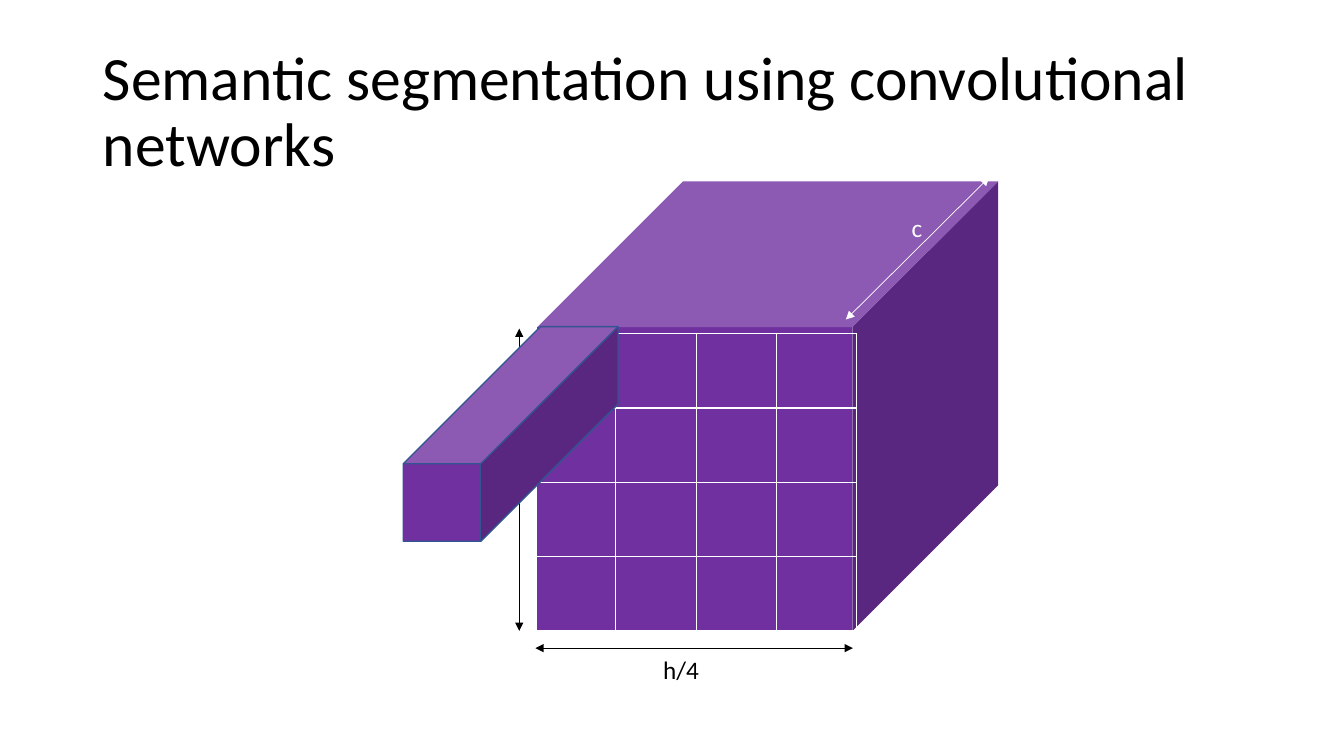
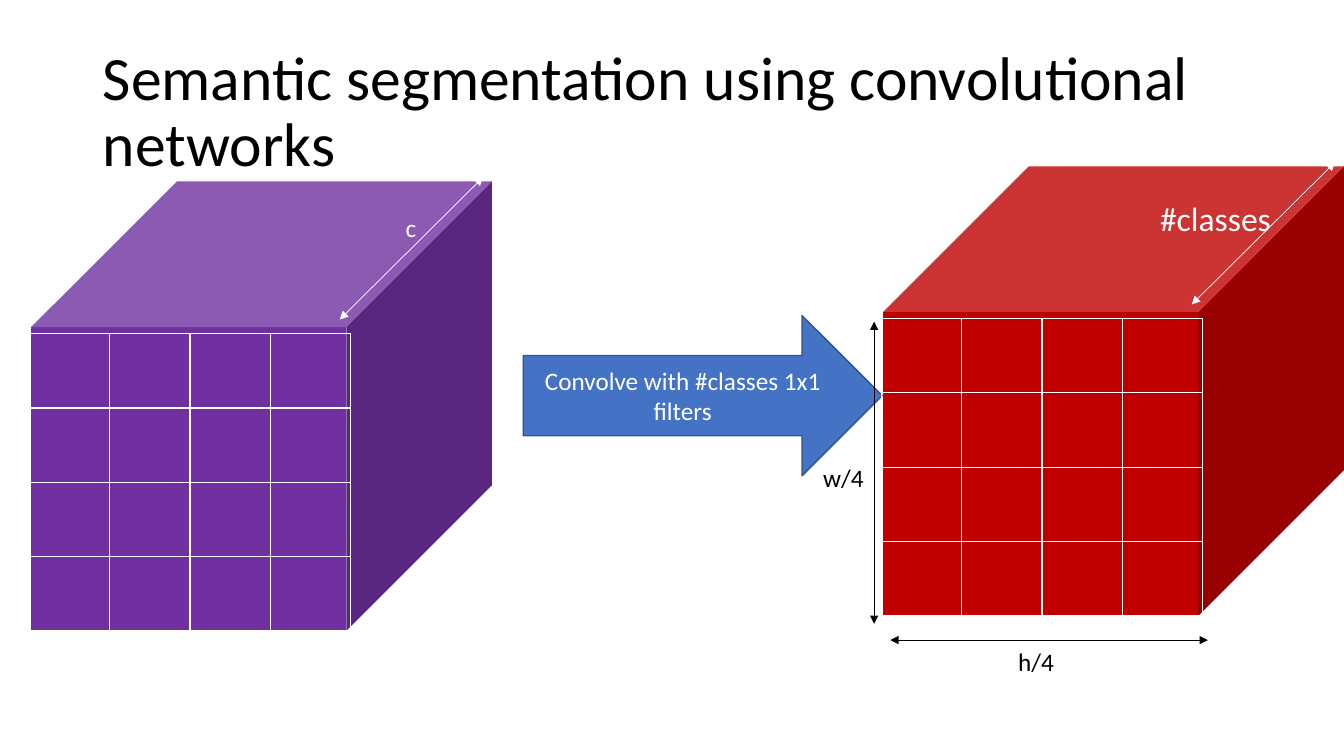
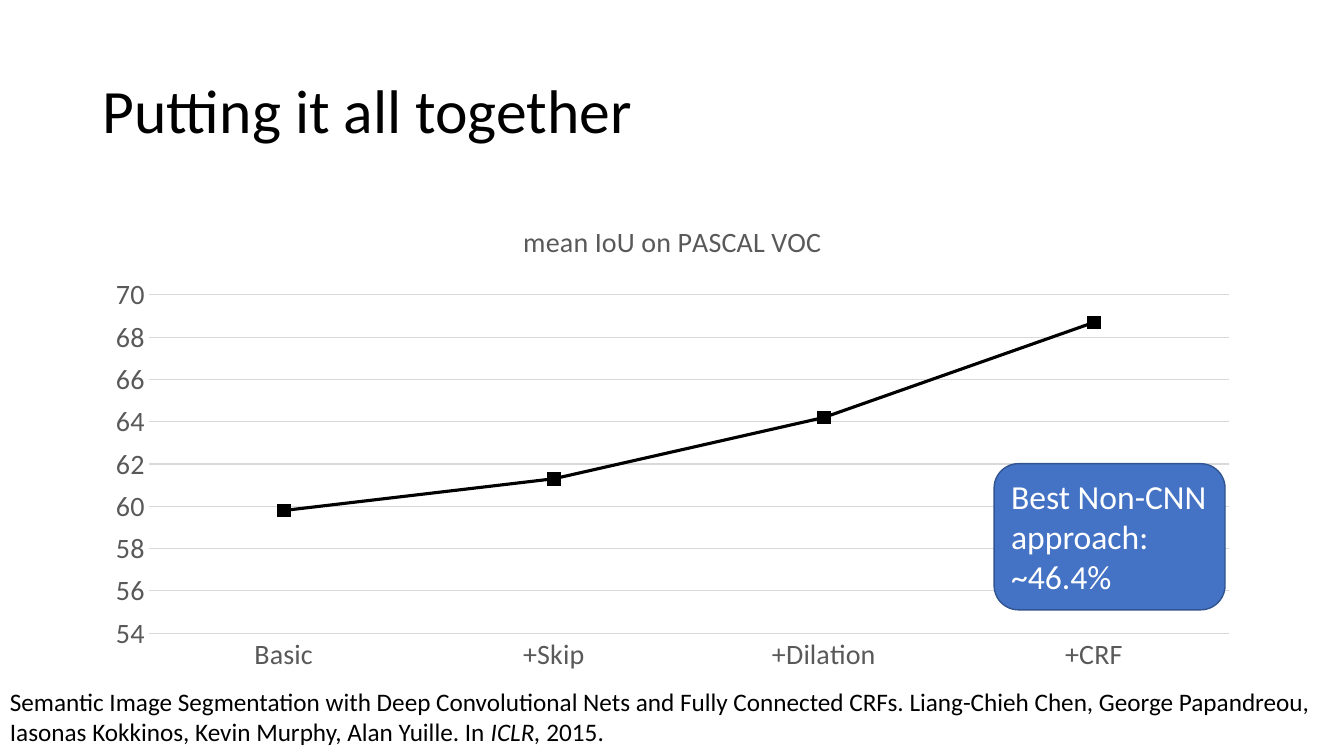
from lxml import etree
from pptx import Presentation
from pptx.chart.data import CategoryChartData
from pptx.dml.color import RGBColor
from pptx.enum.chart import XL_CHART_TYPE, XL_MARKER_STYLE, XL_TICK_MARK
from pptx.enum.shapes import MSO_CONNECTOR, MSO_SHAPE
from pptx.enum.text import MSO_ANCHOR, MSO_AUTO_SIZE, PP_ALIGN
from pptx.oxml import parse_xml
from pptx.oxml.ns import nsdecls, qn
from pptx.util import Emu, Pt

EMU_PER_PX = 9144
FONT = "Calibri"
COLORS = {
    "text": "000000",
    "white": "FFFFFF",
    "features": "7030A0",
    "scores": "C00000",
    "accent": "4472C4",
    "outline": "325491",
    "axis": "595959",
    "grid": "D9D9D9",
}
SEGMENTATION_TITLE = "Semantic segmentation using convolutional networks"
GRID_CELLS = 4

CUBE, ROUNDED, RIGHT_ARROW = MSO_SHAPE.CUBE, MSO_SHAPE.ROUNDED_RECTANGLE, MSO_SHAPE.RIGHT_ARROW
STRAIGHT = MSO_CONNECTOR.STRAIGHT
LEFT, CENTER = PP_ALIGN.LEFT, PP_ALIGN.CENTER
TOP, MIDDLE = MSO_ANCHOR.TOP, MSO_ANCHOR.MIDDLE
NO_AUTOFIT = MSO_AUTO_SIZE.NONE
LINE_MARKERS = XL_CHART_TYPE.LINE_MARKERS
SQUARE = XL_MARKER_STYLE.SQUARE
NO_TICK = XL_TICK_MARK.NONE


def px(*lengths):
    return [Emu(length * EMU_PER_PX) for length in lengths]


def rgb(color):
    return RGBColor.from_string(COLORS[color])


def set_font(font, size, color):
    font.name = FONT
    font.size = Pt(size)
    font.color.rgb = rgb(color)


def set_line(line, color, width):
    line.color.rgb = rgb(color)
    line.width = Pt(width)


def add_titled_slide(deck, layout, text):
    slide = deck.slides.add_slide(layout)
    title = slide.shapes.title
    title.text_frame.text = text
    title.text_frame.auto_size = NO_AUTOFIT
    title.text_frame.vertical_anchor = MIDDLE
    paragraph = title.text_frame.paragraphs[0]
    paragraph.alignment = LEFT
    paragraph.line_spacing = 0.9
    set_font(paragraph.font, 44, "text")
    return slide


def add_label(shapes, box, text, size=18, color="text"):
    frame = shapes.add_textbox(*px(*box)).text_frame
    frame.word_wrap = False
    frame.text = text
    paragraph = frame.paragraphs[0]
    paragraph.alignment = CENTER
    set_font(paragraph.font, size, color)


def add_double_arrow(shapes, start, end, color="text"):
    arrow = shapes.add_connector(STRAIGHT, *px(*start, *end))
    set_line(arrow.line, color, 0.5)
    properties = arrow._element.spPr
    line = properties.find(qn("a:ln"))
    for end_tag in ("a:headEnd", "a:tailEnd"):
        etree.SubElement(line, qn(end_tag), type="triangle")
    etree.SubElement(properties, qn("a:effectLst"))


def add_filled_shape(shapes, kind, box, fill, outlined=True):
    shape = shapes.add_shape(kind, *px(*box))
    shape.shadow.inherit = False
    shape.fill.solid()
    shape.fill.fore_color.rgb = rgb(fill)
    if outlined:
        set_line(shape.line, "outline", 1)
    else:
        shape.line.fill.background()
    return shape


def add_callout(shapes, kind, box, text, size, alignment, anchor):
    frame = add_filled_shape(shapes, kind, box, "accent").text_frame
    frame.word_wrap = True
    frame.vertical_anchor = anchor
    frame.text = text
    paragraph = frame.paragraphs[0]
    paragraph.alignment = alignment
    set_font(paragraph.font, size, "white")


def add_cube(shapes, box, fill, depth, outlined=False):
    cube = add_filled_shape(shapes, CUBE, box, fill, outlined)
    cube.adjustments[0] = depth


def set_cell_borders(cell):
    properties = cell._tc.get_or_add_tcPr()
    for index, side in enumerate(("lnL", "lnR", "lnT", "lnB")):
        properties.insert(index, parse_xml(
            f'<a:{side} {nsdecls("a")} w="12700"><a:solidFill>'
            f'<a:srgbClr val="{COLORS["white"]}"/></a:solidFill></a:{side}>'))


def add_pixel_grid(shapes, left, top):
    grid = shapes.add_table(GRID_CELLS, GRID_CELLS, *px(left, top, 319, 295)).table
    grid.first_row = False
    grid.horz_banding = False
    for cell in grid.iter_cells():
        cell.fill.background()
        set_cell_borders(cell)


def add_volume(shapes, left, top, fill, depth_text, label_left, label_width, size=18):
    add_cube(shapes, (left, top, 457, 446), fill, 0.324)
    add_pixel_grid(shapes, left - 2, top + 151)
    depth = shapes.add_group_shape().shapes
    add_label(depth, (left + label_left, top + 26, label_width, 40), depth_text, size, "white")
    add_double_arrow(depth, (left + 306, top + 137), (left + 448, top - 4), "white")


def add_width_measure(shapes, left, top):
    add_double_arrow(shapes, (left, top), (left + 315, top))
    add_label(shapes, (left + 116, top + 1, 57, 40), "h/4")


def add_height_arrow(shapes, left, top):
    add_double_arrow(shapes, (left, top), (left, top + 300))


def add_accuracy_chart(shapes):
    data = CategoryChartData()
    data.categories = ["Basic", "+Skip", "+Dilation", "+CRF"]
    data.add_series("Series 1", (59.8, 61.3, 64.2, 68.7))
    chart = shapes.add_chart(LINE_MARKERS, *px(92, 200, 1150, 476), data).chart
    chart.has_legend = False
    set_font(chart.font, 20, "axis")

    chart.has_title = True
    chart.chart_title.include_in_layout = False
    heading = chart.chart_title.text_frame
    heading.text = "mean IoU on PASCAL VOC"
    set_font(heading.paragraphs[0].font, 20, "axis")
    heading.paragraphs[0].font.bold = False

    for axis in (chart.category_axis, chart.value_axis):
        axis.major_tick_mark = NO_TICK
        axis.minor_tick_mark = NO_TICK
        set_font(axis.tick_labels.font, 20, "axis")
    set_line(chart.category_axis.format.line, "grid", 0.75)
    scale = chart.value_axis
    scale.minimum_scale, scale.maximum_scale, scale.major_unit = 54, 70, 2
    scale.format.line.fill.background()
    set_line(scale.major_gridlines.format.line, "grid", 0.75)

    chart.plots[0].vary_by_categories = False
    accuracy = chart.plots[0].series[0]
    accuracy.smooth = False
    set_line(accuracy.format.line, "text", 2.25)
    accuracy.marker.style = SQUARE
    accuracy.marker.size = 9
    accuracy.marker.format.fill.solid()
    accuracy.marker.format.fill.fore_color.rgb = rgb("text")
    accuracy.marker.format.line.fill.background()


def add_citation(shapes, parts):
    frame = shapes.add_textbox(*px(0, 676, 1333, 71)).text_frame
    frame.word_wrap = True
    paragraph = frame.paragraphs[0]
    set_font(paragraph.font, 18, "text")
    for text, italic in parts:
        run = paragraph.add_run()
        run.text = text
        run.font.italic = italic


def build_feature_slide(deck, layout):
    shapes = add_titled_slide(deck, layout, SEGMENTATION_TITLE).shapes
    add_width_measure(shapes, 531, 643)
    add_height_arrow(shapes, 515, 326)
    add_volume(shapes, 533, 180, "features", "c", 348, 57)
    add_cube(shapes, (400, 324, 213, 213), "features", 0.639, outlined=True)


def build_convolution_slide(deck, layout):
    shapes = add_titled_slide(deck, layout, SEGMENTATION_TITLE).shapes
    add_volume(shapes, 31, 180, "features", "c", 348, 57)
    add_callout(shapes, RIGHT_ARROW, (519, 313, 356, 159),
                "Convolve with #classes 1x1 filters", 18, CENTER, MIDDLE)
    add_volume(shapes, 876, 165, "scores", "#classes", 254, 151, 24)
    add_width_measure(shapes, 883, 635)
    add_height_arrow(shapes, 867, 319)
    add_label(shapes, (802, 454, 69, 40), "w/4")


def build_results_slide(deck, layout):
    shapes = add_titled_slide(deck, layout, "Putting it all together").shapes
    add_accuracy_chart(shapes)
    add_callout(shapes, ROUNDED, (986, 460, 229, 145),
                "Best Non-CNN approach: ~46.4%", 24, LEFT, TOP)
    add_citation(shapes, [
        ("Semantic Image Segmentation with Deep Convolutional Nets and Fully Connected CRFs. "
         "Liang-Chieh Chen, George Papandreou, Iasonas Kokkinos, Kevin Murphy, Alan Yuille. In ",
         False),
        ("ICLR, ", True),
        ("2015.", False),
    ])


def main():
    deck = Presentation()
    deck.slide_width, deck.slide_height = px(1333, 750)
    layout = deck.slide_layouts[5]
    title = layout.placeholders[0]
    title.left, title.top, title.width, title.height = px(92, 40, 1150, 145)
    build_feature_slide(deck, layout)
    build_convolution_slide(deck, layout)
    build_results_slide(deck, layout)
    deck.save("out.pptx")


if __name__ == "__main__":
    main()
